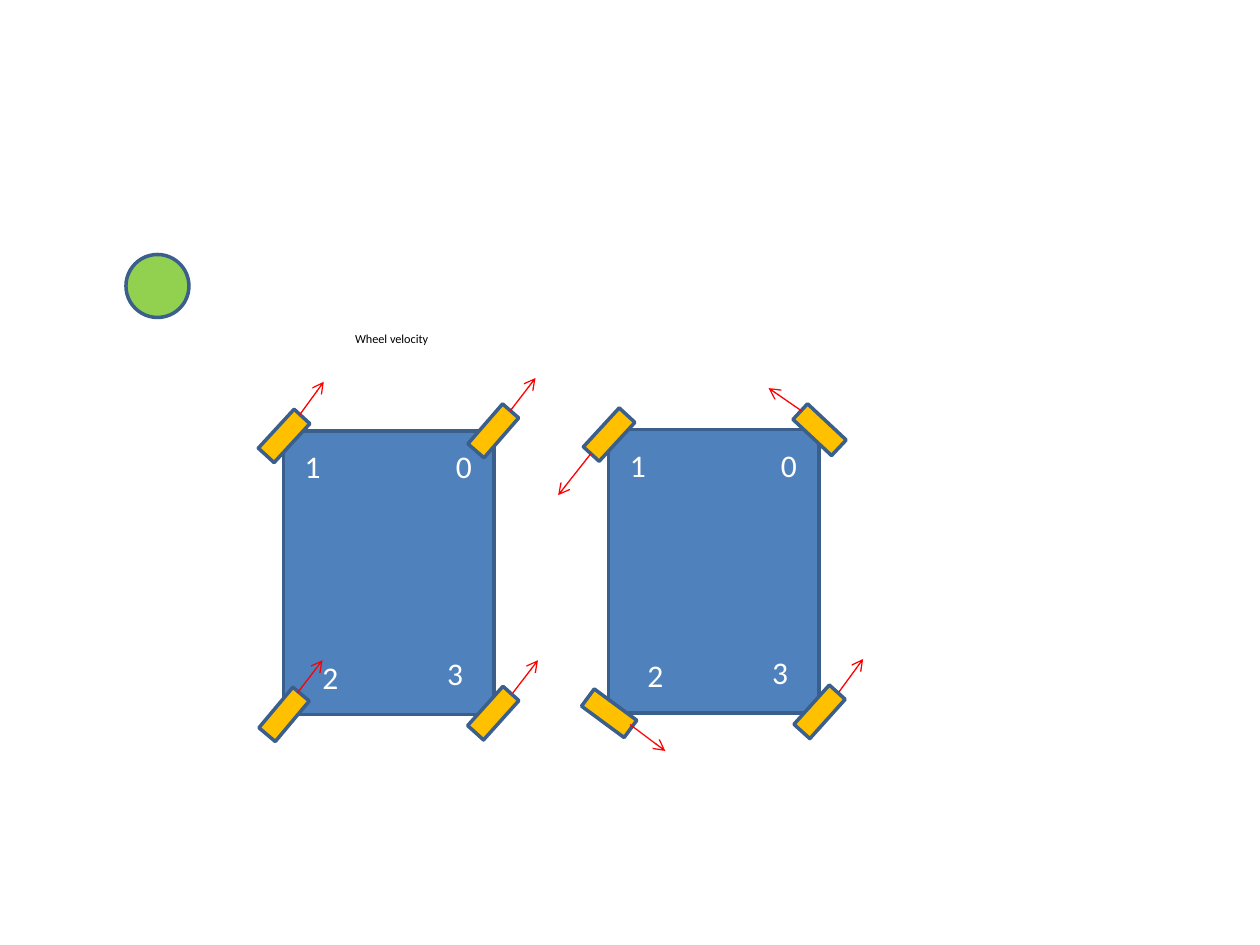
from dataclasses import dataclass

import pptx
import pptx.dml.color
import pptx.enum.shapes
import pptx.enum.text
import pptx.oxml
import pptx.oxml.ns
import pptx.util

SCALE = 9144  # EMU per px, 100 px to the inch
SHAPE = pptx.enum.shapes.MSO_SHAPE


@dataclass(frozen=True)
class Theme:
    body: str = "4F81BD"
    wheel: str = "FFC000"
    ball: str = "92D050"
    edge: str = "3A5F8C"
    arrow: str = "FF0000"
    light: str = "FFFFFF"
    dark: str = "000000"
    font: str = "Calibri"
    digit: int = 18
    note: int = 7
    border: float = 2
    thin: float = 0.75


@dataclass(frozen=True)
class Wheel:
    """One wheel, with its angle and its arrow relative to the robot's corner."""
    left: int
    top: int
    angle: float
    start: tuple[int, int]
    end: tuple[int, int]


@dataclass(frozen=True)
class Robot:
    left: int
    top: int
    wheels: tuple[Wheel, ...]


THEME = Theme()
BODY = (167, 225)
TYRE = (17, 42)
LABELS = ((127, 8), (7, 8), (21, 175), (120, 172))

ROBOTS = (
    Robot(225, 342, (
        Wheel(158, -21, 41, (180, -16), (200, -42)),
        Wheel(-8, -17, 42.6, (13, -13), (32, -39)),
        Wheel(-8, 204, 40, (11, 208), (31, 182)),
        Wheel(158, 203, 42, (182, 208), (202, 182)),
    )),
    Robot(483, 341, (
        Wheel(159, -21, 313.1, (153, -15), (127, -33)),
        Wheel(-8, -17, 42.6, (-14, 19), (-40, 52)),
        Wheel(-8, 204, 306.4, (17, 234), (45, 255)),
        Wheel(159, 203, 42, (183, 208), (202, 182)),
    )),
)


def px(*values: int) -> list[int]:
    return [value * SCALE for value in values]


def color(code: str) -> pptx.dml.color.RGBColor:
    return pptx.dml.color.RGBColor.from_string(code)


def add_part(slide, kind, box: tuple[int, ...], fill: str,
             angle: float = 0) -> None:
    """Draw a filled preset shape with the common border."""
    part = slide.shapes.add_shape(kind, *px(*box))
    part.shadow.inherit = False
    part.rotation = angle
    part.fill.solid()
    part.fill.fore_color.rgb = color(fill)
    part.line.color.rgb = color(THEME.edge)
    part.line.width = pptx.util.Pt(THEME.border)


def add_text(slide, box: tuple[int, ...], text: str, size: int,
             tint: str) -> None:
    frame = slide.shapes.add_textbox(*px(*box)).text_frame
    frame.word_wrap = False
    frame.auto_size = pptx.enum.text.MSO_AUTO_SIZE.SHAPE_TO_FIT_TEXT
    frame.text = text
    font = frame.paragraphs[0].runs[0].font
    font.name = THEME.font
    font.size = pptx.util.Pt(size)
    font.color.rgb = color(tint)


def add_arrow(slide, start: tuple[int, int], end: tuple[int, int]) -> None:
    arrow = slide.shapes.add_connector(
        pptx.enum.shapes.MSO_CONNECTOR.STRAIGHT, *px(*start, *end))
    arrow.line.color.rgb = color(THEME.arrow)
    arrow.line.width = pptx.util.Pt(THEME.thin)
    space = pptx.oxml.ns.nsdecls("a")
    arrow.line._get_or_add_ln().append(
        pptx.oxml.parse_xml(f'<a:tailEnd {space} type="arrow"/>'))
    arrow._element.spPr.append(
        pptx.oxml.parse_xml(f"<a:effectLst {space}/>"))


def add_robot(slide, robot: Robot) -> None:
    def place(x: int, y: int) -> tuple[int, int]:
        return robot.left + x, robot.top + y

    add_part(slide, SHAPE.RECTANGLE, (*place(0, 0), *BODY), THEME.body)
    for wheel in robot.wheels:
        add_part(slide, SHAPE.RECTANGLE,
                 (*place(wheel.left, wheel.top), *TYRE),
                 THEME.wheel, wheel.angle)
    for index, spot in enumerate(LABELS):
        add_text(slide, (*place(*spot), 33, 40), str(index),
                 THEME.digit, THEME.light)
    for wheel in robot.wheels:
        add_arrow(slide, place(*wheel.start), place(*wheel.end))


def main() -> None:
    deck = pptx.Presentation()
    deck.slide_width, deck.slide_height = px(1000, 750)
    slide = deck.slides.add_slide(deck.slide_layouts[6])
    for robot in ROBOTS:
        add_robot(slide, robot)
    add_text(slide, (272, 258, 79, 22), "Wheel velocity",
             THEME.note, THEME.dark)
    add_part(slide, SHAPE.OVAL, (100, 202, 50, 50), THEME.ball)
    deck.save("out.pptx")


if __name__ == "__main__":
    main()
